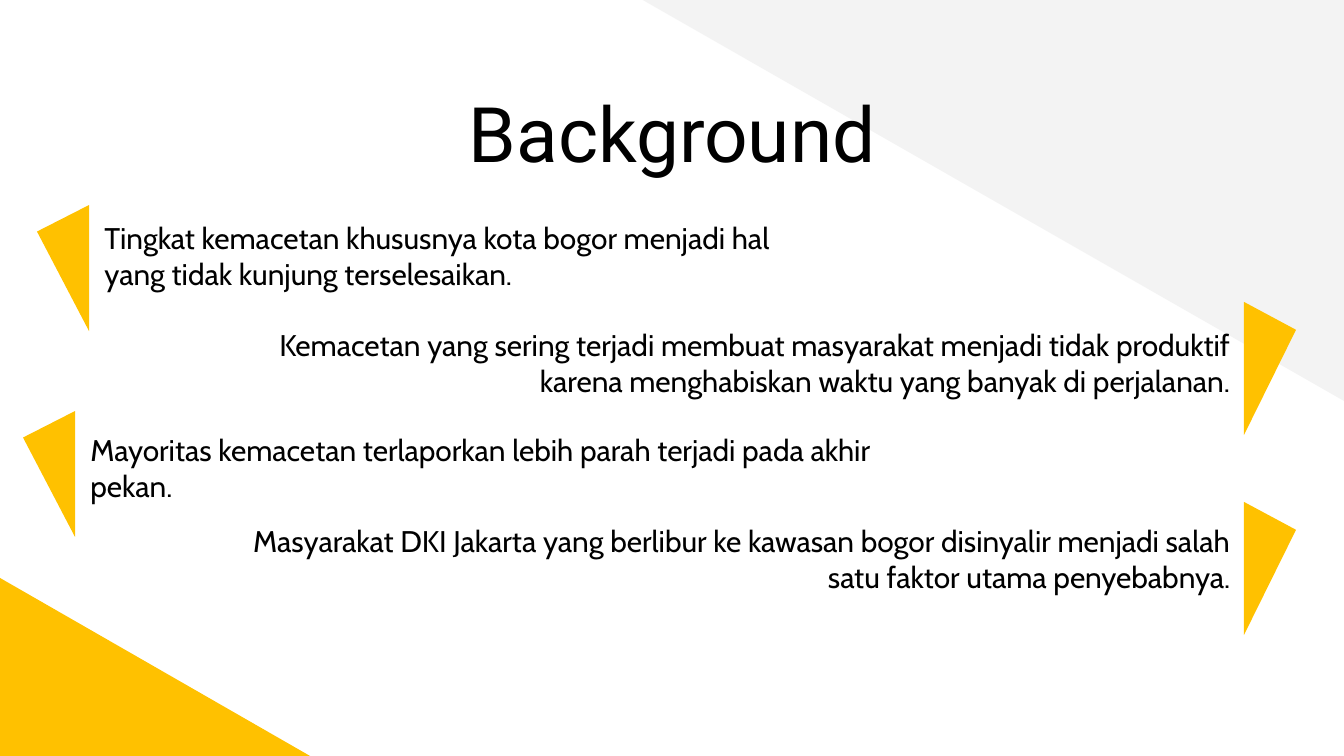
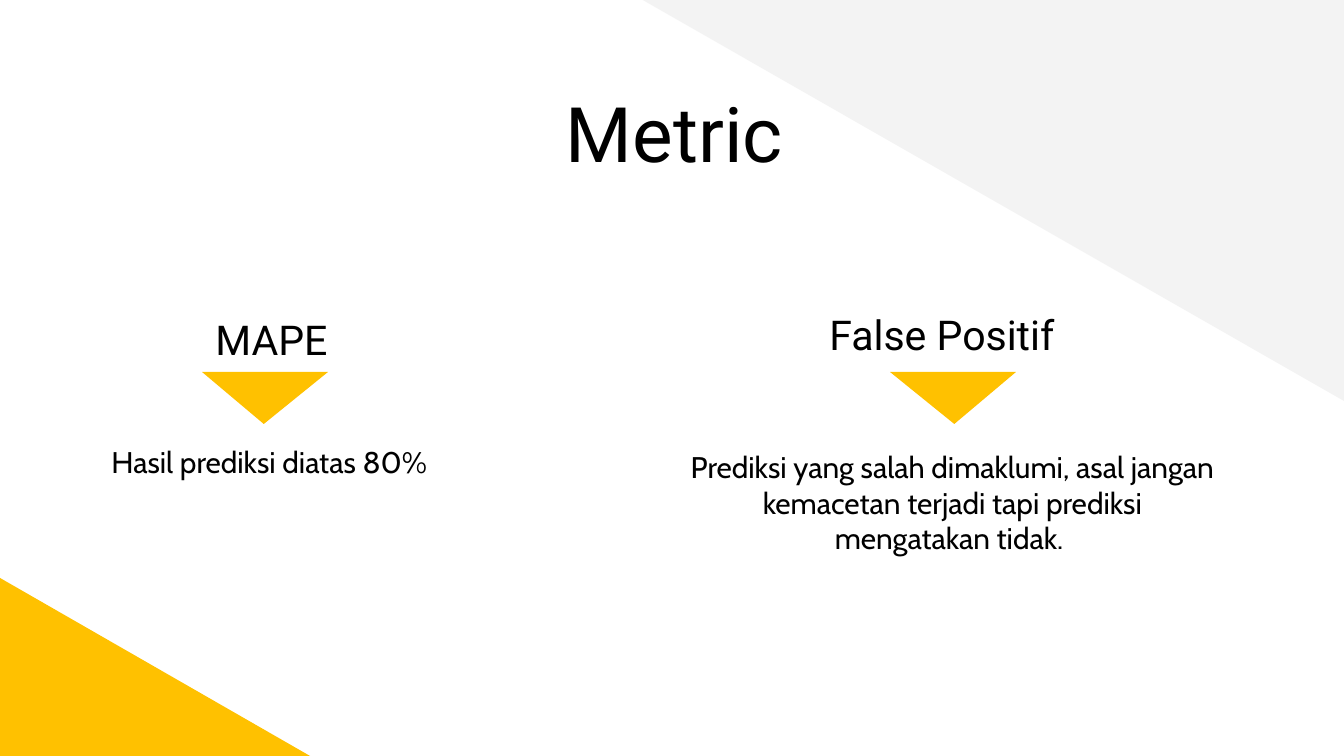
import pptx
import pptx.util
import pptx.dml.color
import pptx.enum.shapes
import pptx.enum.text
import lxml.etree

WIDE, HIGH = 1344, 756
SCALE = 9144000 / WIDE
GOLD = pptx.dml.color.RGBColor(0xFF, 0xC1, 0x00)
PALE = pptx.dml.color.RGBColor(0xF3, 0xF3, 0xF3)
BLACK = pptx.dml.color.RGBColor(0, 0, 0)
HEAD_FONT, BODY_FONT = "Roboto", "Cabin"
KIND = pptx.enum.shapes.MSO_SHAPE
ALIGN = pptx.enum.text.PP_ALIGN
PAIR = 4


def px(size):
    """Turn pixels into EMU."""
    return pptx.util.Emu(round(size * SCALE))


def place(shape, box):
    """Move a shape to a pixel box."""
    shape.left, shape.top, shape.width, shape.height = map(px, box)


def write(hold, box, text, size=16, font=BODY_FONT, align=ALIGN.LEFT, after=0, lead=1.0):
    """Fill a placeholder with one plain paragraph."""
    place(hold, box)
    frame = hold.text_frame
    frame.word_wrap = True
    frame.auto_size = pptx.enum.text.MSO_AUTO_SIZE.NONE
    frame.vertical_anchor = pptx.enum.text.MSO_ANCHOR.TOP
    frame.margin_left = frame.margin_right = pptx.util.Inches(0.1)
    frame.margin_top = frame.margin_bottom = pptx.util.Inches(0.1)
    frame.text = text
    para = frame.paragraphs[0]
    para.alignment = align
    para.line_spacing = lead
    para.space_before = pptx.util.Pt(0)
    para.space_after = pptx.util.Pt(after)
    props = para._p.get_or_add_pPr()
    props.set("marL", "0")
    props.set("indent", "0")
    lxml.etree.SubElement(props, pptx.oxml.ns.qn("a:buNone"))
    look = para.runs[0].font
    look.name, look.size, look.bold = font, pptx.util.Pt(size), False
    look.color.rgb = BLACK


def draw(slide, kind, box, fill, turn=0):
    """Draw a flat shape without a line."""
    shape = slide.shapes.add_shape(kind, *map(px, box))
    shape.shadow.inherit = False
    shape.fill.solid()
    shape.fill.fore_color.rgb = fill
    shape.line.fill.background()
    shape.rotation = turn
    return shape


def wedge(slide, box, turn, peak):
    """Draw a gold triangle that fills the box once turned."""
    x, y, w, h = box
    if turn in (90, 270):
        x, y, w, h = x + (w - h) / 2, y + (h - w) / 2, h, w
    shape = draw(slide, KIND.ISOSCELES_TRIANGLE, (x, y, w, h), GOLD, turn)
    shape.adjustments[0] = peak


def bands(slide):
    """Put the corner bands on the layout of the slide."""
    tree = slide.slide_layout.shapes._spTree
    corners = [
        draw(slide, KIND.RIGHT_TRIANGLE, (641, -1, 703, 402), PALE, 180),
        draw(slide, KIND.RIGHT_TRIANGLE, (0, 578, 310, 178), GOLD),
    ]
    for num, shape in enumerate(corners, 20):
        shape._element.nvSpPr.cNvPr.set("id", str(num))
        tree.append(shape._element)


def title(slide, x, text):
    """Set the centred slide title."""
    write(slide.shapes.title, (x, 73, 1191, 85), text,
          size=41, font=HEAD_FONT, align=ALIGN.CENTER)


def point(slide, hold, box, text, rise, right=False, after=0):
    """Place a statement with a wedge at its outer side."""
    x, y, w, h = box
    write(hold, box, text, align=ALIGN.RIGHT if right else ALIGN.LEFT, after=after)
    if right:
        wedge(slide, (x + w, y - rise, 52, 133), 90, 0.21)
    else:
        wedge(slide, (x - 54, y - rise, 52, 126), 270, 0.79)


def metric(slide, holds, box, head, note, shift, drop, peak, **form):
    """Place a heading, a wedge and a note in one column."""
    x, y, w, h = box
    write(holds[0], (x + shift[0], y - drop, 274, 73), head,
          size=22, font=HEAD_FONT, after=16, lead=1.15)
    wedge(slide, (x + shift[1], 372, 126, 52), 180, peak)
    write(holds[1], box, note, **form)


def causes(slide):
    """Build the background slide."""
    title(slide, 77, "Background")
    points = [
        ((91, 206, 759, 97), 1, False, 16,
         "Tingkat kemacetan khususnya kota bogor menjadi hal yang tidak kunjung terselesaikan."),
        ((261, 313, 983, 97), 11, True, 0,
         "Kemacetan yang sering terjadi membuat masyarakat menjadi tidak produktif "
         "karena menghabiskan waktu yang banyak di perjalanan."),
        ((77, 418, 816, 85), 7, False, 0,
         "Mayoritas kemacetan terlaporkan lebih parah terjadi pada akhir pekan."),
        ((228, 509, 1016, 97), 7, True, 16,
         "Masyarakat DKI Jakarta yang berlibur ke kawasan bogor disinyalir menjadi "
         "salah satu faktor utama penyebabnya."),
    ]
    for num, (box, rise, right, after, text) in enumerate(points, 1):
        point(slide, slide.placeholders[num], box, text, rise, right, after)


def scores(slide):
    """Build the metric slide."""
    title(slide, 79, "Metric")
    holds = [slide.placeholders[num] for num in range(1, 5)]
    metric(slide, holds[:2], (98, 430, 387, 146), "MAPE", "Hasil prediksi diatas 80%",
           (104, 104), 136, 0.51, after=16)
    metric(slide, holds[2:], (671, 435, 563, 146), "False Positif",
           "Prediksi yang salah dimaklumi, asal jangan kemacetan terjadi "
           "tapi prediksi mengatakan tidak. ",
           (145, 219), 146, 0.49, align=ALIGN.CENTER)


def main():
    """Build and save the deck."""
    deck = pptx.Presentation()
    deck.slide_width, deck.slide_height = px(WIDE), px(HIGH)
    layout = deck.slide_layouts[PAIR]
    for num, build in enumerate((causes, scores)):
        slide = deck.slides.add_slide(layout)
        if num == 0:
            bands(slide)
        build(slide)
    deck.save("out.pptx")


if __name__ == "__main__":
    main()
